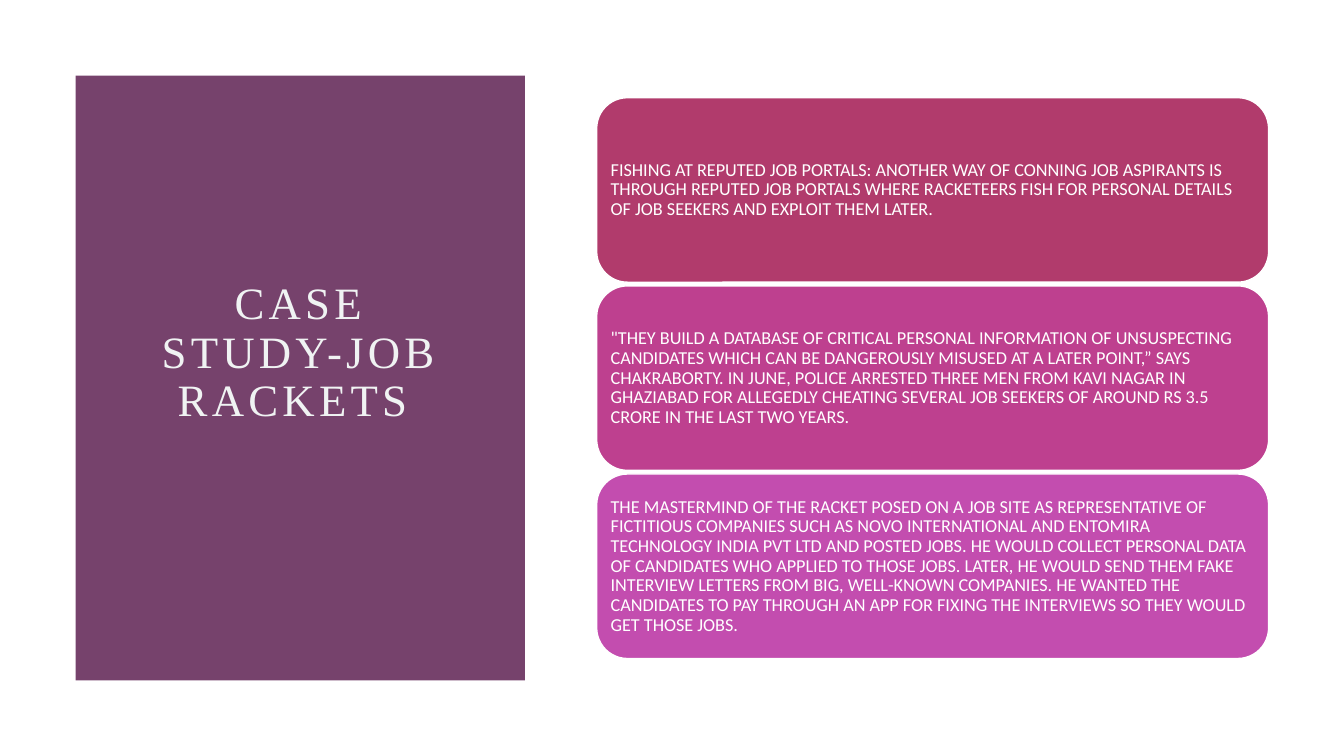
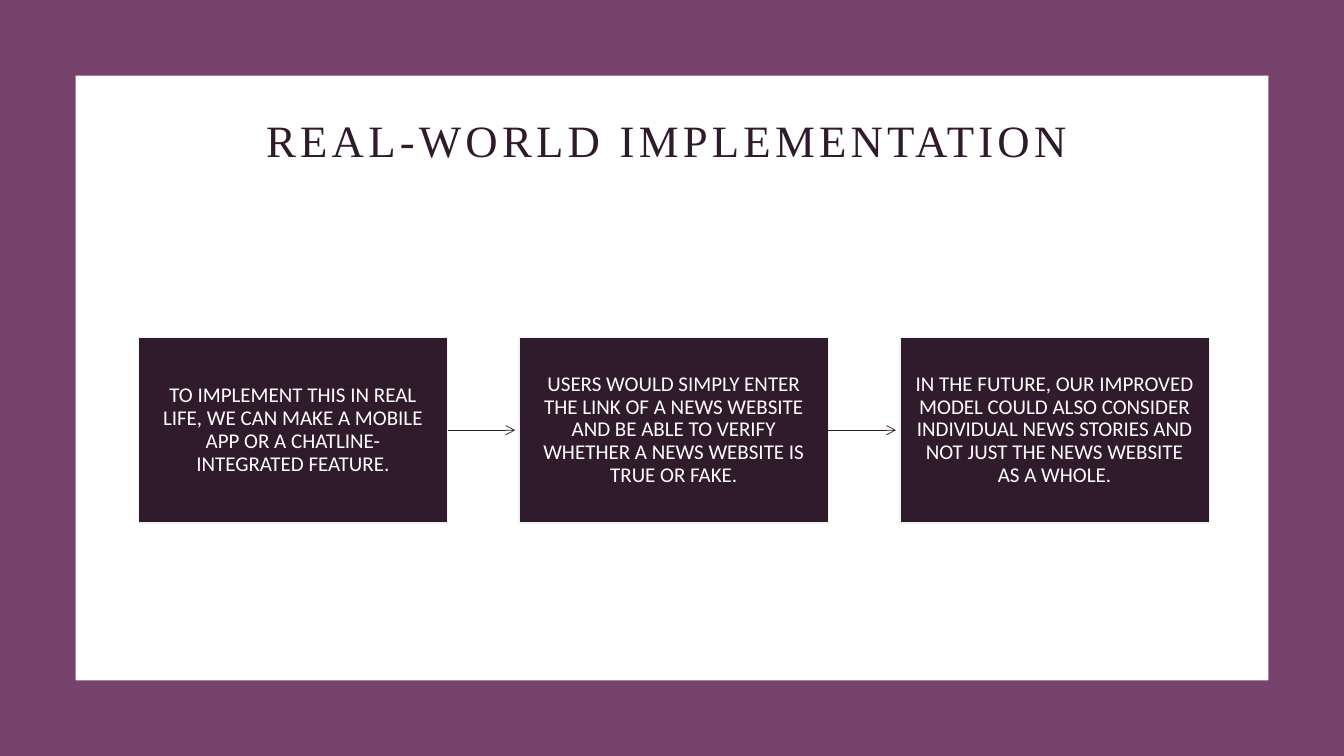
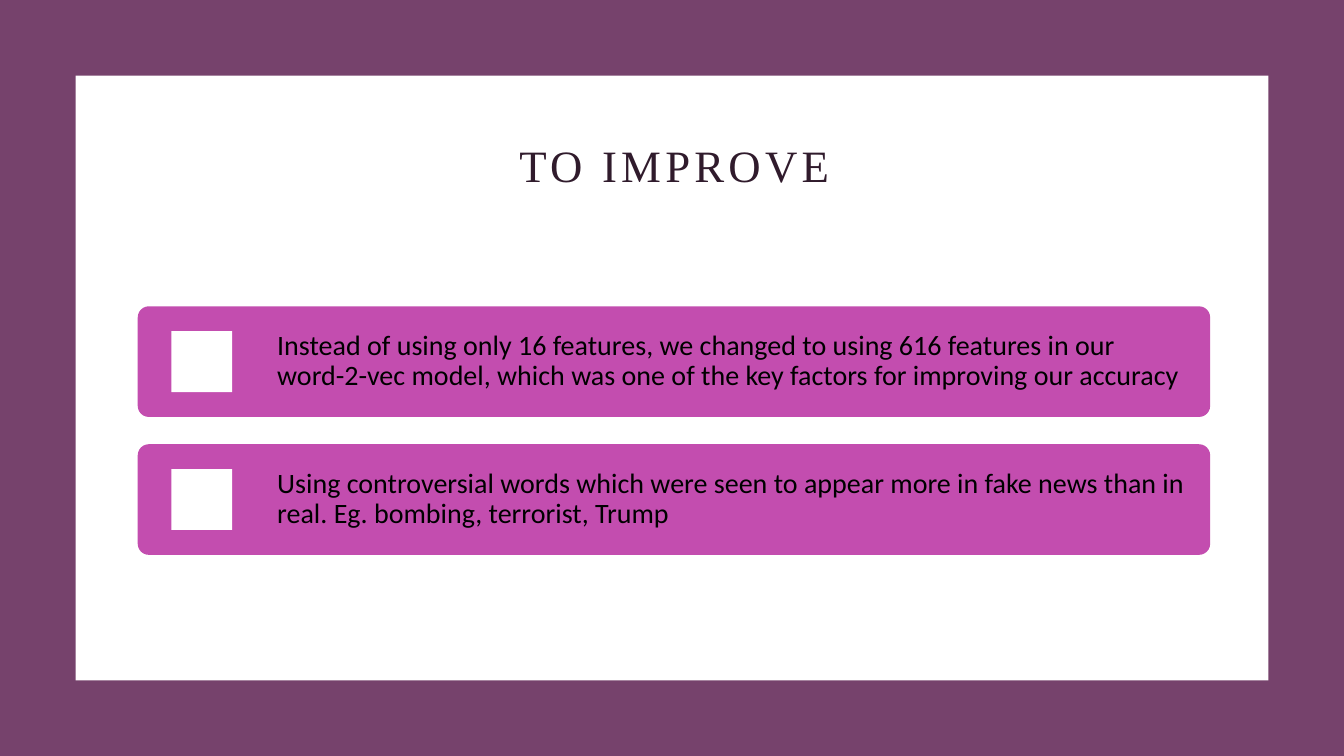
from dataclasses import dataclass

from lxml.etree import SubElement
from pptx import Presentation
from pptx.dml.color import RGBColor
from pptx.enum.shapes import MSO_CONNECTOR as CONN, MSO_SHAPE as SHAPE
from pptx.enum.text import MSO_ANCHOR as ANCHOR, PP_ALIGN as ALIGN
from pptx.oxml.ns import qn
from pptx.util import Pt


@dataclass(frozen=True)
class Theme:
    plum: str = "76426C"
    dark: str = "301B2C"
    pale: str = "F0F3F3"
    white: str = "FFFFFF"
    black: str = "000000"
    orchid: str = "C34DAF"
    cards: tuple = ("B13B6C", "BE408F", "C34DAF")
    title_font: str = "Times New Roman"
    body_font: str = "Calibri"
    title_size: int = 32
    card_size: int = 13
    step_size: int = 15
    row_size: int = 20


T = Theme()
WIDTH, HEIGHT, MARGIN = 960, 540, 54

CASE_TITLE = "CASE STUDY-JOB RACKETS "
CASES = [
    "FISHING AT REPUTED JOB PORTALS: ANOTHER WAY OF CONNING JOB ASPIRANTS IS "
    "THROUGH REPUTED JOB PORTALS WHERE RACKETEERS FISH FOR PERSONAL DETAILS "
    "OF JOB SEEKERS AND EXPLOIT THEM LATER.",
    "\"THEY BUILD A DATABASE OF CRITICAL PERSONAL INFORMATION OF UNSUSPECTING "
    "CANDIDATES WHICH CAN BE DANGEROUSLY MISUSED AT A LATER POINT,” SAYS "
    "CHAKRABORTY. IN JUNE, POLICE ARRESTED THREE MEN FROM KAVI NAGAR "
    "IN GHAZIABAD FOR ALLEGEDLY CHEATING SEVERAL JOB SEEKERS OF AROUND RS 3.5 "
    "CRORE IN THE LAST TWO YEARS.",
    "THE MASTERMIND OF THE RACKET POSED ON A JOB SITE AS REPRESENTATIVE OF "
    "FICTITIOUS COMPANIES SUCH AS NOVO INTERNATIONAL AND ENTOMIRA TECHNOLOGY "
    "INDIA PVT LTD AND POSTED JOBS. HE WOULD COLLECT PERSONAL DATA "
    "OF CANDIDATES WHO APPLIED TO THOSE JOBS. LATER, HE WOULD SEND THEM FAKE "
    "INTERVIEW LETTERS FROM BIG, WELL-KNOWN COMPANIES. HE WANTED THE "
    "CANDIDATES TO PAY THROUGH AN APP FOR FIXING THE INTERVIEWS SO THEY WOULD "
    "GET THOSE JOBS.",
]

STEPS_TITLE = "REAL-WORLD IMPLEMENTATION "
STEPS = [
    "TO IMPLEMENT THIS IN REAL LIFE, WE CAN MAKE A MOBILE APP OR A "
    "CHATLINE-INTEGRATED FEATURE.",
    "USERS WOULD SIMPLY ENTER THE LINK OF A NEWS WEBSITE AND BE ABLE TO VERIFY "
    "WHETHER A NEWS WEBSITE IS TRUE OR FAKE.",
    "IN THE FUTURE, OUR IMPROVED MODEL COULD ALSO CONSIDER INDIVIDUAL NEWS "
    "STORIES AND NOT JUST THE NEWS WEBSITE AS A WHOLE.",
]

ROWS_TITLE = "TO IMPROVE"
ROWS = [
    "Instead of using only 16 features, we changed to using 616 features in our "
    "word-2-vec model, which was one of the key factors for improving our accuracy",
    "Using controversial words which were seen to appear more in fake news than in "
    "real. Eg. bombing, terrorist, Trump",
]


def rgb(value):
    return RGBColor.from_string(value)


def add_box(s, x, y, w, h, fill, line=None, kind=SHAPE.RECTANGLE, corner=None):
    sp = s.shapes.add_shape(kind, Pt(x), Pt(y), Pt(w), Pt(h))
    sp.shadow.inherit = False
    sp.fill.solid()
    sp.fill.fore_color.rgb = rgb(fill)
    if line:
        sp.line.color.rgb = rgb(line)
        sp.line.width = Pt(1)
    else:
        sp.line.fill.background()
    if corner is not None:
        sp.adjustments[0] = corner
    return sp


def write(sp, text, size, color, font=T.body_font, align=ALIGN.LEFT,
          insets=(3.6, 3.6, 3.6, 3.6), spacing=None):
    tf = sp.text_frame
    tf.word_wrap = True
    tf.vertical_anchor = ANCHOR.MIDDLE
    tf.margin_left, tf.margin_top, tf.margin_right, tf.margin_bottom = map(Pt, insets)
    p = tf.paragraphs[0]
    p.alignment = align
    p.line_spacing = 0.9
    r = p.add_run()
    r.text = text
    r.font.size = Pt(size)
    r.font.name = font
    r.font.color.rgb = rgb(color)
    if spacing:
        r.font._element.set("spc", str(spacing * 100))


def add_title(s, text, x=108, y=84.5, w=747.5, h=70.5, color=T.dark, lift=0):
    sp = s.shapes.add_textbox(Pt(x), Pt(y), Pt(w), Pt(h))
    write(sp, text, T.title_size, color, font=T.title_font, align=ALIGN.CENTER,
          insets=(7.2, 3.6, 7.2, 3.6 + lift), spacing=3)


def add_arrow(s, x1, x2, y):
    c = s.shapes.add_connector(CONN.STRAIGHT, Pt(x1), Pt(y), Pt(x2), Pt(y))
    c.line.color.rgb = rgb(T.dark)
    c.line.width = Pt(0.5)
    SubElement(c.line._get_or_add_ln(), qn("a:tailEnd"), type="arrow")
    SubElement(c._element.spPr, qn("a:effectLst"))


def add_framed_slide(prs):
    s = prs.slides.add_slide(prs.slide_layouts[6])
    add_box(s, 0, 0, WIDTH, HEIGHT, T.plum)
    add_box(s, MARGIN, MARGIN, WIDTH - 2 * MARGIN, HEIGHT - 2 * MARGIN, T.white)
    return s


def build_cases(prs):
    s = prs.slides.add_slide(prs.slide_layouts[6])
    add_box(s, MARGIN, MARGIN, 321, HEIGHT - 2 * MARGIN, T.plum)
    add_title(s, CASE_TITLE, 108, 108, 213, 324, color=T.pale, lift=34.5)
    x, top, w, h, gap = 426.2, 69.8, 480, 131.8, 2.6
    for i, (text, fill) in enumerate(zip(CASES, T.cards)):
        card = add_box(s, x, top + i * (h + gap), w, h, fill, T.white,
                       SHAPE.ROUNDED_RECTANGLE)
        write(card, text, T.card_size, T.white)


def build_steps(prs):
    s = add_framed_slide(prs)
    add_title(s, STEPS_TITLE, lift=34.5)
    left, top, w, h, gap = 98.8, 241, 221, 132.6, 51
    for i, text in enumerate(STEPS):
        x = left + i * (w + gap)
        step = add_box(s, x, top, w, h, T.dark, T.pale)
        write(step, text, T.step_size, T.white, align=ALIGN.CENTER,
              insets=(10.8, 11.4, 10.8, 11.4))
        if i:
            add_arrow(s, x - gap, x - 2.8, top + h / 2)


def build_rows(prs):
    s = add_framed_slide(prs)
    add_title(s, ROWS_TITLE)
    x, top, w, h, gap, icon = 98.4, 218.8, 766, 79, 19.5, 43.5
    for i, text in enumerate(ROWS):
        y = top + i * (h + gap)
        row = add_box(s, x, y, w, h, T.orchid,
                      kind=SHAPE.ROUNDED_RECTANGLE, corner=0.1)
        write(row, text, T.row_size, T.black, insets=(97.3, 6.3, 6, 6.3))
        add_box(s, x + 24, y + (h - icon) / 2, icon, icon, T.white)


def main():
    prs = Presentation()
    prs.slide_width, prs.slide_height = Pt(WIDTH), Pt(HEIGHT)
    build_cases(prs)
    build_steps(prs)
    build_rows(prs)
    prs.save("out.pptx")


if __name__ == "__main__":
    main()
